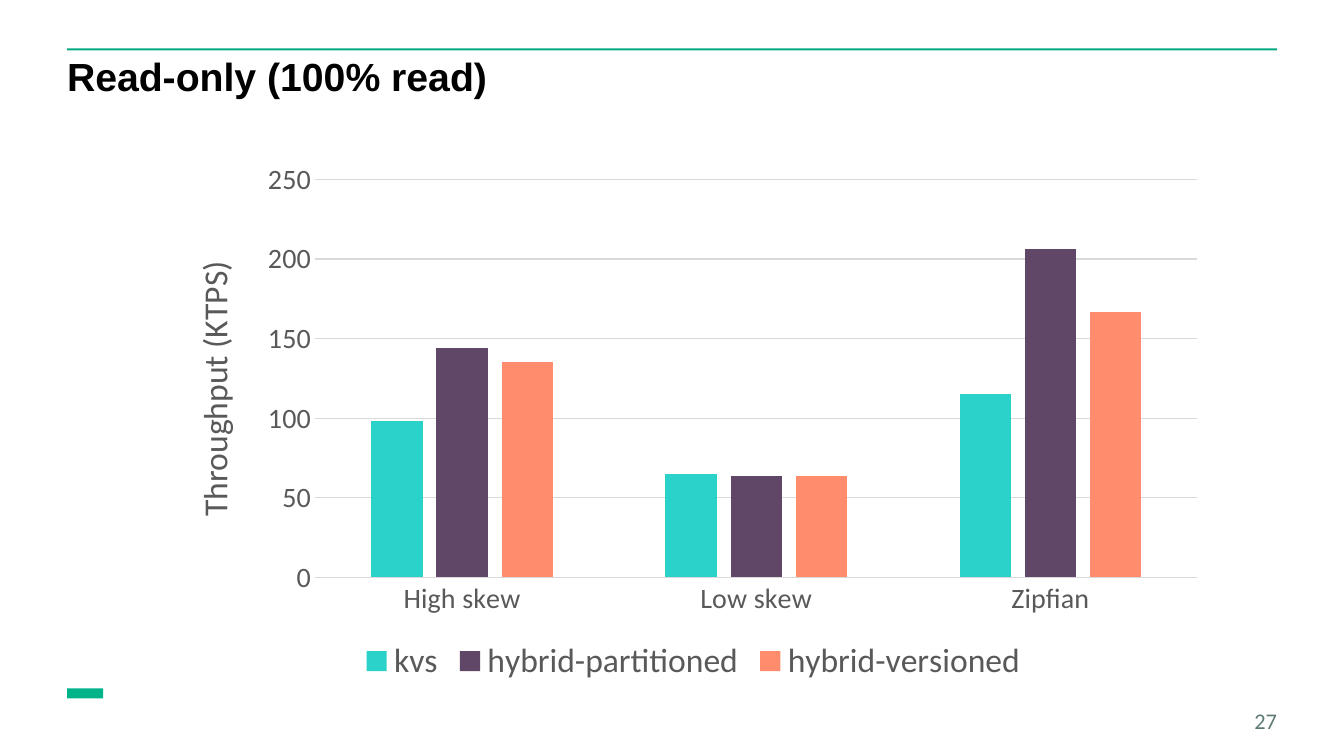
from lxml.etree import SubElement
from pptx import Presentation
from pptx.chart.data import CategoryChartData
from pptx.dml.color import RGBColor
from pptx.enum.chart import XL_CHART_TYPE, XL_LEGEND_POSITION, XL_TICK_MARK
from pptx.enum.shapes import MSO_SHAPE
from pptx.enum.text import MSO_ANCHOR, PP_ALIGN
from pptx.oxml.ns import qn
from pptx.util import Inches, Pt

COLORS = {
    "background": "FFFFFF", "rule": "01A982", "badge": "00B388", "title": "000000",
    "number": "5F7A76", "label": "595959", "grid": "D9D9D9",
}
CATEGORIES = ["High skew", "Low skew", "Zipfian"]
SERIES = {
    "kvs": ([98, 65, 115], "2AD2C9"),
    "hybrid-partitioned": ([144, 64, 206], "614767"),
    "hybrid-versioned": ([135, 64, 167], "FF8D6D"),
}
WIDTH, HEIGHT = Inches(13.33), Inches(7.5)
CONTENT_WIDTH = Inches(12)
MARGIN = (WIDTH - CONTENT_WIDTH) // 2


def rgb(color):
    """Return the colour for a hex string."""
    return RGBColor.from_string(color)


def format_font(font, size, color=COLORS["label"], name="Calibri", bold=False):
    """Set the typeface, size, weight and colour of a font."""
    font.name, font.size, font.bold = name, Pt(size), bold
    font.color.rgb = rgb(color)


def add_text(slide, text, box, align=PP_ALIGN.LEFT, anchor=MSO_ANCHOR.TOP,
             wrap=True, line_spacing=1.0, **font_format):
    """Place one paragraph of formatted text in a box without insets."""
    frame = slide.shapes.add_textbox(*box).text_frame
    frame.margin_left = frame.margin_top = frame.margin_right = frame.margin_bottom = 0
    frame.word_wrap, frame.vertical_anchor = wrap, anchor
    paragraph = frame.paragraphs[0]
    paragraph.alignment, paragraph.line_spacing = align, line_spacing
    run = paragraph.add_run()
    run.text = text
    format_font(run.font, **font_format)


def add_block(slide, box, color):
    """Place a plain filled rectangle."""
    shape = slide.shapes.add_shape(MSO_SHAPE.RECTANGLE, *box)
    shape.shadow.inherit = False
    shape.fill.solid()
    shape.fill.fore_color.rgb = rgb(color)
    shape.line.fill.background()


def add_header(slide, box):
    """Draw the green rule and the title beneath it."""
    left, top, width, height = box
    add_block(slide, (left, top, width, Inches(0.02)), COLORS["rule"])
    title_top = top + Inches(0.09)
    add_text(slide, "Read-only (100% read)", (left, title_top, width, height - Inches(0.09)),
             line_spacing=0.9, size=28, color=COLORS["title"], name="Arial", bold=True)


def add_footer(slide, box):
    """Draw the badge on the left and the slide number on the right."""
    left, top, width, height = box
    add_block(slide, (left, top, Inches(0.36), Inches(0.1)), COLORS["badge"])
    number_width, number_height = Inches(0.58), Inches(0.25)
    number_box = (left + width - number_width, top + height - number_height,
                  number_width, number_height)
    add_text(slide, "27", number_box, align=PP_ALIGN.RIGHT, anchor=MSO_ANCHOR.BOTTOM,
             wrap=False, size=16, color=COLORS["number"])


def set_plot_layout(chart, **shares):
    """Fix the inner plot area as shares of the chart size."""
    plot_area = chart.plots[0]._element.getparent()
    layout = plot_area.find(qn("c:layout"))
    if layout is None:
        layout = SubElement(plot_area, qn("c:layout"))
        plot_area.insert(0, layout)
    manual = SubElement(layout, qn("c:manualLayout"))
    settings = {"layoutTarget": "inner", "xMode": "edge", "yMode": "edge", **shares}
    for key, value in settings.items():
        SubElement(manual, qn(f"c:{key}")).set("val", str(value))


def format_axes(chart):
    """Style both axes, the gridlines and the value axis title."""
    category_axis, value_axis = chart.category_axis, chart.value_axis
    for axis in (category_axis, value_axis):
        axis.major_tick_mark = axis.minor_tick_mark = XL_TICK_MARK.NONE
        format_font(axis.tick_labels.font, 20)
    for line in (category_axis.format.line, value_axis.major_gridlines.format.line):
        line.width = Pt(0.75)
        line.color.rgb = rgb(COLORS["grid"])
    value_axis.format.line.fill.background()
    value_axis.minimum_scale, value_axis.maximum_scale = 0, 250
    value_axis.major_unit = 50
    frame = value_axis.axis_title.text_frame
    frame.text = "Throughput (KTPS)"
    format_font(frame.paragraphs[0].runs[0].font, 24)
    frame._txBody.bodyPr.set("rot", "-5400000")
    frame._txBody.bodyPr.set("vert", "horz")


def add_throughput_chart(slide, box):
    """Draw the clustered columns of throughput by workload."""
    data = CategoryChartData()
    data.categories = CATEGORIES
    for name, (values, _) in SERIES.items():
        data.add_series(name, values)
    chart = slide.shapes.add_chart(XL_CHART_TYPE.COLUMN_CLUSTERED, *box, data).chart
    format_font(chart.font, 10, color=COLORS["title"])
    chart.has_title = False
    chart.has_legend = True
    chart.legend.position = XL_LEGEND_POSITION.BOTTOM
    chart.legend.include_in_layout = False
    format_font(chart.legend.font, 24)
    plot = chart.plots[0]
    plot.gap_width, plot.overlap, plot.vary_by_categories = 219, -27, False
    for series, (_, color) in zip(plot.series, SERIES.values()):
        series.format.fill.solid()
        series.format.fill.fore_color.rgb = rgb(color)
    format_axes(chart)
    chart_height = box[3]
    set_plot_layout(chart, x=0.14, y=Inches(0.28) / chart_height,
                    w=0.84, h=Inches(3.95) / chart_height)


def main():
    """Build and save the slide."""
    presentation = Presentation()
    presentation.slide_width, presentation.slide_height = WIDTH, HEIGHT
    slide = presentation.slides.add_slide(presentation.slide_layouts[6])
    slide.background.fill.solid()
    slide.background.fill.fore_color.rgb = rgb(COLORS["background"])
    add_header(slide, (MARGIN, Inches(0.48), CONTENT_WIDTH, Inches(1.02)))
    add_footer(slide, (MARGIN, Inches(6.83), CONTENT_WIDTH, Inches(0.45)))
    add_throughput_chart(slide, (WIDTH // 8, HEIGHT // 5, Inches(10.42), Inches(5.33)))
    presentation.save("out.pptx")


if __name__ == "__main__":
    main()
